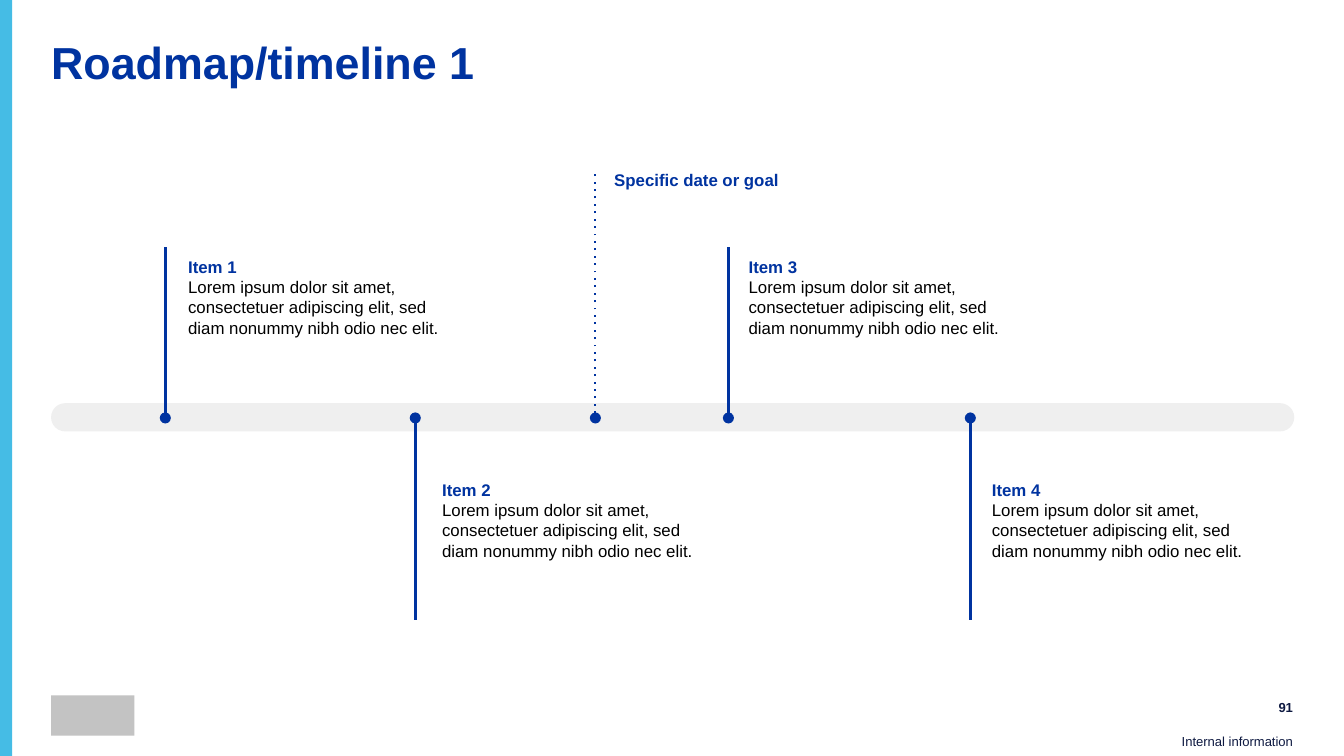
from copy import deepcopy

from lxml.etree import SubElement
from pptx import Presentation
from pptx.dml.color import RGBColor
from pptx.enum.shapes import MSO_CONNECTOR, MSO_SHAPE
from pptx.enum.text import MSO_ANCHOR, MSO_AUTO_SIZE, PP_ALIGN
from pptx.oxml.ns import qn
from pptx.util import Inches, Pt

BLUE = RGBColor(0x00, 0x33, 0xA0)
SKY = RGBColor(0x45, 0xBC, 0xE5)
NAVY = RGBColor(0x0E, 0x19, 0x41)
BLACK = RGBColor(0x00, 0x00, 0x00)
TRACK_GREY = RGBColor(0xEF, 0xEF, 0xEF)
LOGO_GREY = RGBColor(0xC3, 0xC3, 0xC3)

FONT = "Arial"
SLIDE_WIDTH = 10
SLIDE_HEIGHT = SLIDE_WIDTH * 9 / 16
MARGIN = 0.38
CONTENT_WIDTH = 9.25
DESCRIPTION = ("Lorem ipsum dolor sit amet, consectetuer adipiscing elit, "
               "sed diam nonummy nibh odio nec elit.")

# Heading, stem position, text position and text width, from the track's left
ITEMS = [
    ("Item 1", 0.85, 0.99, 1.96),
    ("Item 2", 2.71, 2.88, 2.07),
    ("Item 3", 5.04, 5.16, 2.12),
    ("Item 4", 6.84, 6.97, 2.02),
]


def format_run(run, size, color, bold=False):
    run.font.name = FONT
    run.font.size = Pt(size)
    run.font.bold = bold
    run.font.color.rgb = color


def set_insets(text_frame, left, top, right, bottom):
    text_frame.margin_left, text_frame.margin_top = Inches(left), Inches(top)
    text_frame.margin_right, text_frame.margin_bottom = Inches(right), Inches(bottom)


def add_block(slide, color, left, top, width, height, kind=MSO_SHAPE.RECTANGLE):
    shape = slide.shapes.add_shape(
        kind, Inches(left), Inches(top), Inches(width), Inches(height))
    shape.shadow.inherit = False
    shape.fill.solid()
    shape.fill.fore_color.rgb = color
    shape.line.fill.background()
    return shape


def add_text(slide, text, left, top, width, height):
    box = slide.shapes.add_textbox(
        Inches(left), Inches(top), Inches(width), Inches(height))
    box.text_frame.word_wrap = True
    box.text_frame.text = text
    return box.text_frame


def add_title(slide, text, left, top, width, height):
    title = slide.shapes.title
    title.left, title.top = Inches(left), Inches(top)
    title.width, title.height = Inches(width), Inches(height)
    frame = title.text_frame
    frame.text = text
    frame.auto_size = MSO_AUTO_SIZE.NONE
    frame.vertical_anchor = MSO_ANCHOR.TOP
    set_insets(frame, 0, 0, 0, 0)
    paragraph = frame.paragraphs[0]
    paragraph.alignment = PP_ALIGN.LEFT
    paragraph.line_spacing = 0.9
    format_run(paragraph.runs[0], 24, BLUE, bold=True)


def add_footer_text(slide, text, box, anchor, bottom_inset=0, bold=False):
    frame = add_text(slide, text, *box)
    frame.vertical_anchor = anchor
    set_insets(frame, 0, 0, 0, bottom_inset)
    paragraph = frame.paragraphs[0]
    paragraph.alignment = PP_ALIGN.RIGHT
    format_run(paragraph.runs[0], 7, NAVY, bold)


def add_frame(slide, width, height):
    """Draw the side stripe, logo block, page number and classification."""
    right = width - MARGIN
    add_block(slide, SKY, 0, 0, 0.09, height)
    add_block(slide, LOGO_GREY, MARGIN, height - 0.45, 0.62, 0.3)
    add_footer_text(slide, "91", (right - 0.59, height - 0.45, 0.59, 0.18),
                    MSO_ANCHOR.MIDDLE, bold=True)
    add_footer_text(slide, "Internal information",
                    (right - 0.9, height - 0.16, 0.9, 0.16),
                    MSO_ANCHOR.BOTTOM, bottom_inset=0.05)


def add_stem(slide, x, axis, end, weight, dash=None):
    """Draw a vertical line that starts with a dot on the axis."""
    stem = slide.shapes.add_connector(
        MSO_CONNECTOR.STRAIGHT, Inches(x), Inches(axis), Inches(x), Inches(end))
    stem.line.width = Pt(weight)
    stem.line.color.rgb = BLUE
    line = stem.line._get_or_add_ln()
    if dash:
        SubElement(line, qn("a:prstDash"), val=dash)
    SubElement(line, qn("a:headEnd"), type="oval")
    SubElement(stem._element.spPr, qn("a:effectLst"))


def add_label(slide, heading, left, top, width, height, description=None):
    text = f"{heading}\v{description}" if description else heading
    frame = add_text(slide, text, left, top, width, height)
    frame.auto_size = MSO_AUTO_SIZE.SHAPE_TO_FIT_TEXT
    set_insets(frame, 0.03, 0.01, 0.03, 0.01)
    paragraph = frame.paragraphs[0]
    paragraph.space_after = Pt(8)
    format_run(paragraph.runs[0], 9, BLUE, bold=True)
    for run in paragraph.runs[1:]:
        format_run(run, 9, BLACK)
    # A line break keeps the default size unless it has its own properties
    for line_break in paragraph._p.findall(qn("a:br")):
        line_break.append(deepcopy(paragraph.runs[0]._r.rPr))


def add_timeline(slide, left, top, width, height):
    """Draw the track, with items alternating above and below, and the goal."""
    axis = top + 1.82
    track = add_block(slide, TRACK_GREY, left, axis - 0.11, width, 0.21,
                      MSO_SHAPE.ROUNDED_RECTANGLE)
    track.adjustments[0] = 0.5

    for index, (heading, stem_x, text_x, text_width) in enumerate(ITEMS):
        above = index % 2 == 0
        stem_end = axis - 1.27 if above else top + height
        text_top = axis - 1.21 if above else axis + 0.45
        add_stem(slide, left + stem_x, axis, stem_end, 1.5)
        add_label(slide, heading, left + text_x, text_top, text_width, 0.74,
                  DESCRIPTION)

    goal_x = left + 4.05
    add_stem(slide, goal_x, axis, top, 1, dash="dot")
    add_label(slide, "Specific date or goal", goal_x + 0.11, top - 0.04, 1.55, 0.29)


def main():
    presentation = Presentation()
    presentation.slide_width = Inches(SLIDE_WIDTH)
    presentation.slide_height = Inches(SLIDE_HEIGHT)
    slide = presentation.slides.add_slide(presentation.slide_layouts[5])
    add_frame(slide, SLIDE_WIDTH, SLIDE_HEIGHT)
    add_title(slide, "Roadmap/timeline 1", MARGIN, 0.3, CONTENT_WIDTH, 0.49)
    add_timeline(slide, MARGIN, 1.29, CONTENT_WIDTH, 3.32)
    presentation.save("out.pptx")


if __name__ == "__main__":
    main()
